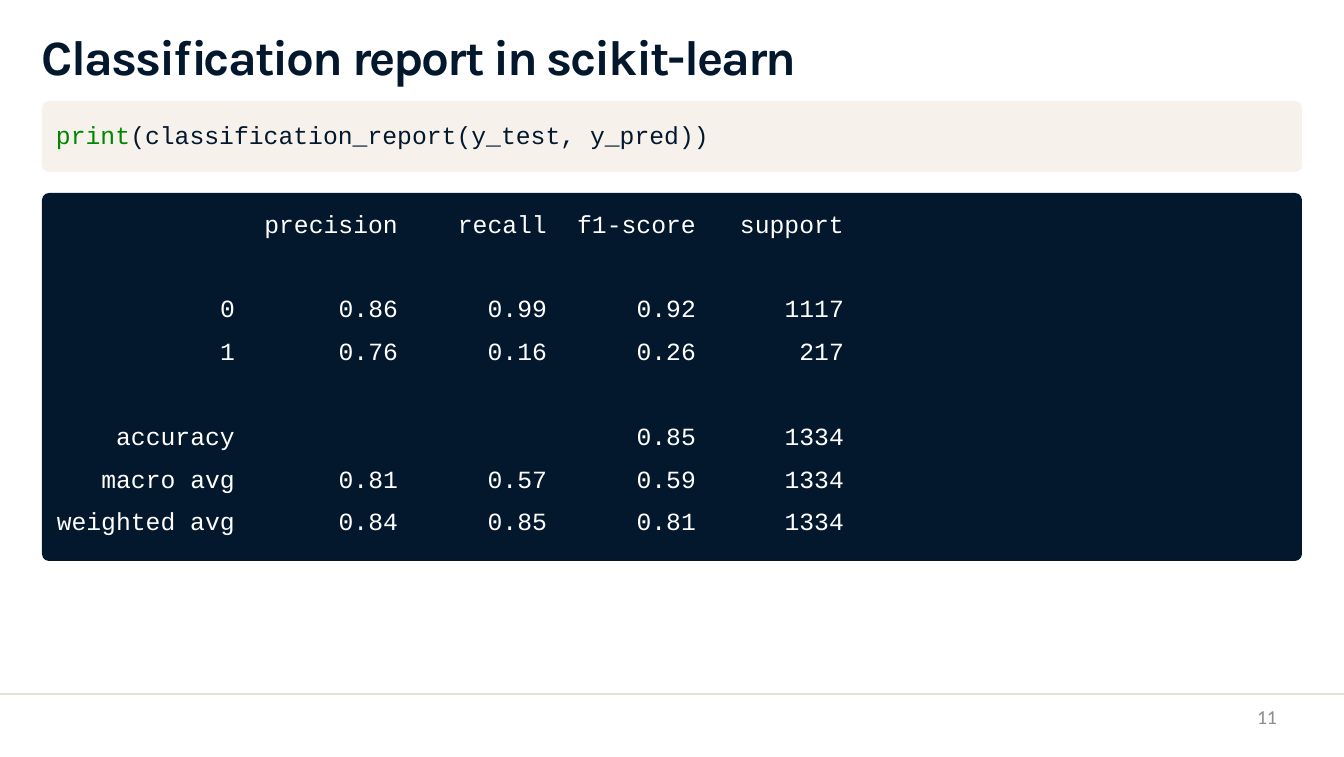
from lxml import etree
from pptx import Presentation
from pptx import util as u
from pptx.dml.color import RGBColor
from pptx.enum import shapes, text
from pptx.oxml.ns import qn

PX = 914400 / 79
COLORS = {"navy": "04182D", "cream": "F6F2EB", "rule": "E4E1D9",
          "green": "008600", "white": "FFFFFF", "gray": "8C8C8C"}
MONO = "Courier New"


def px(*vals):
    """Turn pixel lengths into EMU."""
    return [u.Emu(round(v * PX)) for v in vals]


def style(font, name, size, color, bold=False):
    font.name, font.size, font.bold = name, u.Pt(size), bold
    font.color.rgb = RGBColor.from_string(COLORS[color])


prs = Presentation()
prs.slide_width, prs.slide_height = px(1344, 757)
slide = prs.slides.add_slide(prs.slide_layouts[5])

# Footer rule
rule = slide.shapes.add_connector(
    shapes.MSO_CONNECTOR.STRAIGHT, *px(0, 694, 1344, 694))
rule.line.width = px(2)[0]
rule.line.color.rgb = RGBColor.from_string(COLORS["rule"])
etree.SubElement(rule._element.spPr, qn("a:effectLst"))

# Title
title = slide.shapes.title
title.left, title.top, title.width, title.height = px(41, 24, 782, 62)
frame = title.text_frame
frame.text = "Classification report in scikit-learn"
frame.word_wrap = True
frame.auto_size = text.MSO_AUTO_SIZE.NONE
frame.vertical_anchor = text.MSO_ANCHOR.TOP
frame.margin_left, frame.margin_top, frame.margin_right, frame.margin_bottom = px(1, 2, 0, 0)
para = frame.paragraphs[0]
para.alignment = text.PP_ALIGN.LEFT
style(para.font, "Karla", 45, "navy", True)
para.runs[0]._r.get_or_add_rPr().set("spc", "-180")

# Code and output panels
for top, height, color in [(101, 71, "cream"), (193, 368, "navy")]:
    panel = slide.shapes.add_shape(
        shapes.MSO_SHAPE.ROUNDED_RECTANGLE, *px(42, top, 1260, height))
    panel.adjustments[0] = 7 / height
    panel.shadow.inherit = False
    panel.fill.solid()
    panel.fill.fore_color.rgb = RGBColor.from_string(COLORS[color])
    panel.line.fill.background()

# Code line and page number
code = [("print", "green"), ("(classification_report(y_test, y_pred))", "navy")]
labels = [
    ((56, 119, 660, 32), text.PP_ALIGN.LEFT, MONO, 22.5, code),
    ((968, 704, 309, 38), text.PP_ALIGN.RIGHT, "Calibri", 18, [("11", "gray")]),
]
for place, align, name, size, parts in labels:
    frame = slide.shapes.add_textbox(*px(*place)).text_frame
    frame.word_wrap = True
    frame.margin_left = frame.margin_right = frame.margin_bottom = 0
    frame.margin_top = px(1)[0]
    para = frame.paragraphs[0]
    para.alignment = align
    for words, color in parts:
        run = para.add_run()
        run.text = words
        style(run.font, name, size, color)

# Report table
report = [
    ["", "precision", "recall", "f1-score", "support"],
    ["0", "0.86", "0.99", "0.92", "1117"],
    ["1", "0.76", "0.16", "0.26", "217"],
    ["accuracy", "", "", "0.85", "1334"],
    ["macro avg", "0.81", "0.57", "0.59", "1334"],
    ["weighted avg", "0.84", "0.85", "0.81", "1334"],
]
cols = [(196, 15), (179, 31), (134, 16), (156, 23), (129, 4)]  # width, right inset
rows = [(58, 0), (64, 26), (64, 5), (64, 26), (42, 5), (36, 5)]  # height, top inset
table = slide.shapes.add_table(
    len(rows), len(cols),
    *px(54, 213, sum(w for w, _ in cols), sum(h for h, _ in rows))).table
table.first_row = table.horz_banding = False
# "No Style, No Grid" removes the default cell borders
table._tbl.tblPr.find(qn("a:tableStyleId")).text = "{2D5ABB26-0587-4C30-8999-92F81FD0307C}"

for c, (width, _) in enumerate(cols):
    table.columns[c].width = px(width)[0]
for r, (height, inset) in enumerate(rows):
    table.rows[r].height = px(height)[0]
    for c, (_, right) in enumerate(cols):
        cell = table.cell(r, c)
        cell.fill.background()
        cell.margin_left = cell.margin_bottom = 0
        cell.margin_top, cell.margin_right = px(inset, right)
        cell.text = report[r][c]
        para = cell.text_frame.paragraphs[0]
        para.alignment = text.PP_ALIGN.RIGHT
        style(para.font, MONO, 22.5, "white")

prs.save("out.pptx")
